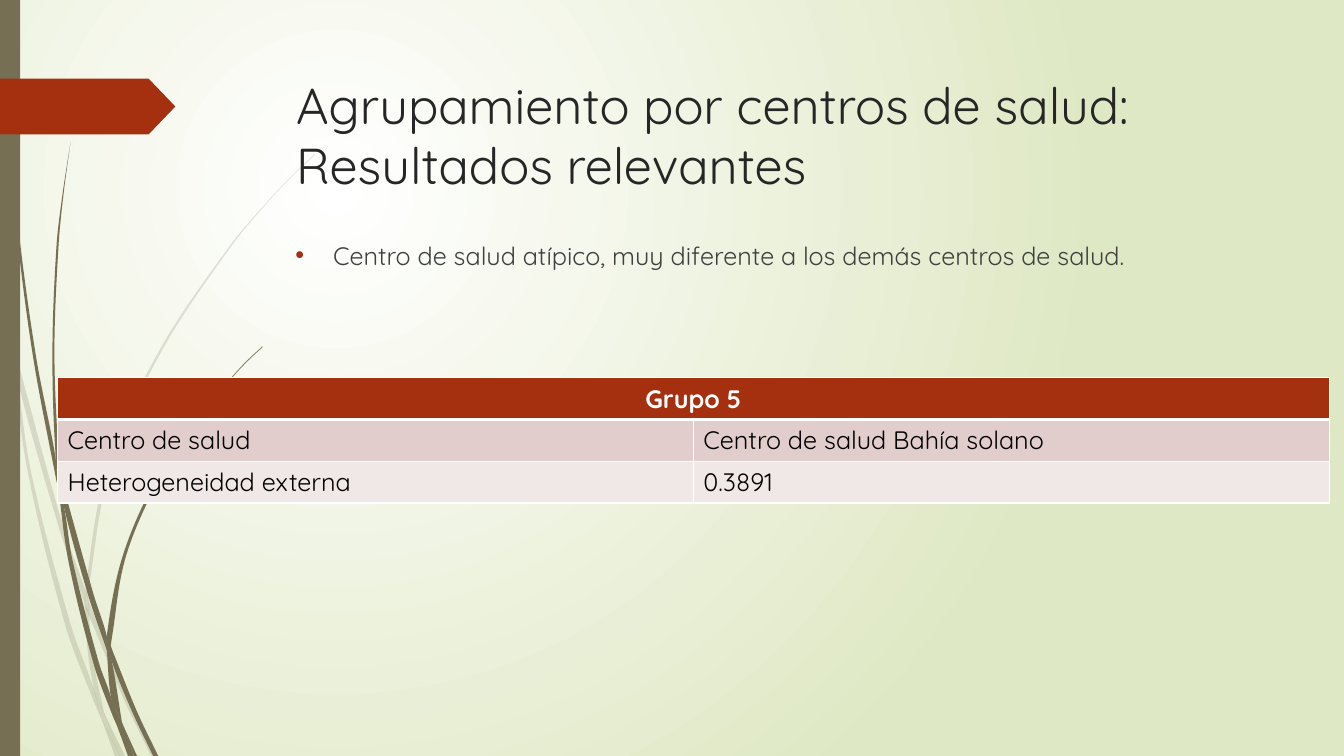
from lxml import etree
from pptx import Presentation
from pptx.dml.color import RGBColor
from pptx.enum.shapes import MSO_SHAPE
from pptx.enum.text import MSO_ANCHOR, MSO_AUTO_SIZE, PP_ALIGN
from pptx.oxml.ns import qn
from pptx.util import Cm, Pt

RECT, ARROW = MSO_SHAPE.RECTANGLE, MSO_SHAPE.PENTAGON
TOP, NONE = MSO_ANCHOR.TOP, MSO_AUTO_SIZE.NONE
LEFT, CENTER = PP_ALIGN.LEFT, PP_ALIGN.CENTER

WHITE = RGBColor(0xFF, 0xFF, 0xFF)
BLACK = RGBColor(0, 0, 0)
GREEN = RGBColor(0xDF, 0xE8, 0xC4)
OLIVE = RGBColor(0x76, 0x6F, 0x54)
RED = RGBColor(0xA5, 0x30, 0x10)
DARK = RGBColor(0x26, 0x26, 0x26)
GREY = RGBColor(0x40, 0x40, 0x40)
ROSE = RGBColor(0xE1, 0xCD, 0xCC)
PALE = RGBColor(0xF0, 0xE8, 0xE7)
FONT = "Quicksand"

# Content
TITLE = "Agrupamiento por centros de salud:\vResultados relevantes"
POINT = "Centro de salud atípico, muy diferente a los demás centros de salud."
ROWS = [
    ("Grupo 5", ""),
    ("Centro de salud", "Centro de salud Bahía solano"),
    ("Heterogeneidad externa", "0.3891"),
]
FILLS = [RED, ROSE, PALE]

# Grass blades: two edges each, from top to bottom, in hundredths of an inch
FAINT = [
    ([(0, 282), (9, 322), (11, 350)], [(0, 299), (10, 344), (11, 350)]),
    ([(14, 345), (62, 520), (85, 586)],
     [(14, 345), (17, 376), (58, 522), (84, 599)]),
    ([(88, 596), (92, 607), (127, 692), (155, 750)],
     [(88, 610), (123, 694), (150, 750)]),
    ([(105, 711), (124, 750)], [(105, 711), (119, 750)]),
    ([(11, 350), (17, 376), (31, 469), (70, 619), (93, 683), (99, 707),
      (101, 714)],
     [(11, 350), (28, 470), (65, 621), (92, 693), (101, 714)]),
    ([(84, 599), (88, 608), (91, 646), (103, 706), (105, 711)],
     [(84, 599), (87, 646), (93, 683), (96, 692), (105, 711)]),
    ([(312, 153), (289, 175), (268, 197), (228, 244), (158, 348),
      (107, 461), (85, 584), (88, 596)],
     [(312, 154), (290, 175), (268, 198), (229, 245), (160, 349),
      (110, 462), (88, 584), (88, 596)]),
    ([(101, 714), (114, 750)], [(101, 714), (119, 750)]),
    ([(85, 586), (88, 596), (88, 610)], [(85, 586), (84, 599), (88, 610)]),
    ([(93, 683), (96, 692), (105, 711), (119, 750)],
     [(93, 683), (99, 707), (101, 714), (119, 750)]),
]
SOLID = [
    ([(4, 0), (5, 48), (8, 109), (19, 232), (36, 355), (55, 453), (57, 481)],
     [(3, 0), (4, 48), (7, 110), (17, 233), (33, 355), (56, 477),
      (57, 481)]),
    ([(60, 472), (93, 590), (106, 631), (106, 645)],
     [(60, 472), (64, 505), (88, 592), (106, 645)]),
    ([(110, 641), (113, 649), (136, 706), (157, 750)],
     [(110, 641), (111, 656), (132, 708), (152, 750)]),
    ([(57, 477), (64, 505), (72, 556), (98, 657), (110, 691), (117, 722)],
     [(57, 477), (68, 557), (93, 659), (111, 708), (117, 722)]),
    ([(70, 141), (63, 193), (58, 245), (54, 349), (58, 453), (60, 472)],
     [(70, 141), (62, 193), (56, 245), (52, 349), (55, 449), (60, 472)]),
    ([(122, 719), (136, 750)], [(122, 719), (133, 750)]),
    ([(55, 449), (60, 472), (64, 505)], [(55, 449), (57, 477), (64, 505)]),
    ([(261, 344), (245, 359), (231, 374), (205, 406), (158, 476),
      (125, 552), (111, 633), (110, 641)],
     [(260, 344), (245, 358), (231, 373), (204, 405), (156, 474),
      (122, 551), (106, 631), (110, 641)]),
    ([(117, 722), (131, 750)], [(117, 722), (127, 750)]),
    ([(106, 645), (111, 656), (121, 716), (122, 719)],
     [(106, 645), (110, 691), (116, 706), (122, 719)]),
    ([(106, 631), (110, 641), (111, 656)],
     [(106, 631), (106, 645), (111, 656)]),
    ([(110, 691), (116, 706), (122, 719), (133, 750)],
     [(110, 691), (117, 722), (130, 750)]),
]
UNIT = 0.0254


def bend(edge):
    """Add two curve handles between neighbours, sloped along the edge."""
    last = len(edge) - 1
    lean = []
    for i in range(last + 1):
        (xa, ya), (xb, yb) = edge[max(i - 1, 0)], edge[min(i + 1, last)]
        lean.append((xb - xa) / (yb - ya))
    dots = [edge[0]]
    for i in range(last):
        (xa, ya), (xb, yb) = edge[i], edge[i + 1]
        gap = (yb - ya) / 3
        dots += [(xa + lean[i] * gap, ya + gap),
                 (xb - lean[i + 1] * gap, yb - gap), (xb, yb)]
    return dots


def draw(group, near, far, alpha):
    down, back = bend(near), bend(far)[::-1]
    # A blunt foot takes a straight step, a pointed one none
    step = [down[-1], back[0]] if down[-1] != back[0] else []
    dots = [(Cm(x * UNIT), Cm(y * UNIT))
            for x, y in down + step + back[not step:]]
    pen = group.shapes.build_freeform(*dots[0], scale=1.0)
    pen.add_line_segments(dots[1:], close=True)
    blade = pen.convert_to_shape()
    paint(blade, OLIVE)
    tint = blade.element.spPr.find(qn("a:solidFill"))[0]
    etree.SubElement(tint, qn("a:alpha"), val=str(alpha * 1000))
    # Three points make one curve
    lines = list(blade.element.iter(qn("a:lnTo")))
    for one, two, three in zip(lines[::3], lines[1::3], lines[2::3]):
        one.tag = qn("a:cubicBezTo")
        for extra in (two, three):
            one.append(extra[0])
            extra.getparent().remove(extra)


def paint(shape, color):
    shape.shadow.inherit = False
    shape.fill.solid()
    shape.fill.fore_color.rgb = color
    shape.line.fill.background()


def style(para, size, color, bold=False, align=LEFT):
    para.alignment = align
    for run in para.runs:
        for key, val in {"name": FONT, "size": Pt(size), "bold": bold}.items():
            setattr(run.font, key, val)
        run.font.color.rgb = color


def place(holder, text, box):
    for key, val in zip(("left", "top", "width", "height"), box):
        setattr(holder, key, Cm(val))
    frame = holder.text_frame
    frame.text = text
    for key, val in {"vertical_anchor": TOP, "auto_size": NONE,
                     "word_wrap": True}.items():
        setattr(frame, key, val)
    shapes.element.append(holder.element)
    return frame.paragraphs[0]


def border(cell, side, width):
    line = etree.SubElement(cell._tc.get_or_add_tcPr(), qn("a:" + side),
                            w=str(Pt(width)))
    fill = etree.SubElement(line, qn("a:solidFill"))
    etree.SubElement(fill, qn("a:srgbClr"), val=str(WHITE))


deck = Presentation()
deck.slide_width, deck.slide_height = Cm(33.87), Cm(19.05)
slide = deck.slides.add_slide(deck.slide_layouts[1])
shapes = slide.shapes

# Background
fond = slide.background.fill
fond.gradient()
for stop, color in zip(fond.gradient_stops, (WHITE, GREEN)):
    stop.color.rgb = color
grad = slide.element.find(".//" + qn("a:gradFill"))
grad.remove(grad.find(qn("a:lin")))
glow = etree.SubElement(grad, qn("a:path"), {"path": "circle"})
etree.SubElement(glow, qn("a:fillToRect"),
                 l="50000", t="50000", r="100000", b="100000")

# Grass
for blades, alpha in ((FAINT, 20), (SOLID, 100)):
    tuft = shapes.add_group_shape()
    for near, far in blades:
        draw(tuft, near, far, alpha)

# Side bar and arrow
paint(shapes.add_shape(RECT, 0, 0, Cm(0.51), deck.slide_height), OLIVE)
arrow = shapes.add_shape(ARROW, 0, Cm(1.98), Cm(4.42), Cm(1.41))
arrow.adjustments[0] = 0.48
paint(arrow, RED)

# Title and bullet
style(place(shapes.title, TITLE, (7.21, 1.73, 24.77, 3.56)), 36, DARK)
item = place(slide.placeholders[1], POINT, (7.19, 5.92, 24.77, 1.45))
style(item, 18, GREY)
item.space_before = Pt(10)
props = item._p.get_or_add_pPr()
props.set("marL", str(Cm(0.95)))
props.set("indent", str(-Cm(0.95)))
tone = etree.SubElement(props, qn("a:buClr"))
etree.SubElement(tone, qn("a:srgbClr"), val=str(RED))
etree.SubElement(props, qn("a:buFont"), typeface="Arial")
etree.SubElement(props, qn("a:buChar"), char="•")

# Table
table = shapes.add_table(len(ROWS), 2, Cm(1.45), Cm(9.52),
                         Cm(32.05), Cm(3.09)).table
for r, row in enumerate(ROWS):
    for c, text in enumerate(row):
        cell = table.cell(r, c)
        cell.text = text
        for side in ("lnL", "lnR", "lnT", "lnB"):
            thick = (r, side) in ((0, "lnB"), (1, "lnT"))
            border(cell, side, 3 if thick else 1)
        cell.fill.solid()
        cell.fill.fore_color.rgb = FILLS[r]
        look = (WHITE, True, CENTER) if r == 0 else (BLACK,)
        style(cell.text_frame.paragraphs[0], 18, *look)
table.cell(0, 0).merge(table.cell(0, 1))

deck.save("out.pptx")
